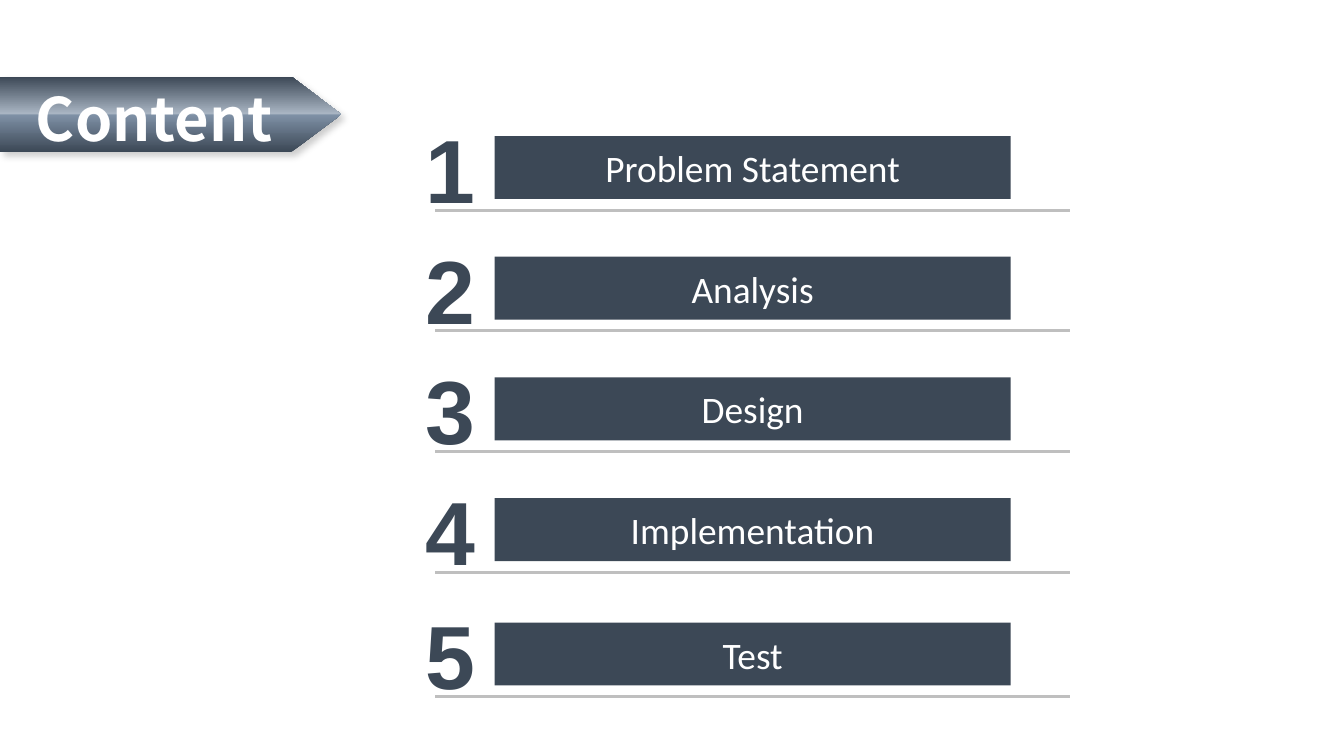
import dataclasses

import lxml.etree
import pptx
import pptx.dml.color
import pptx.enum.shapes
import pptx.enum.text
import pptx.oxml
import pptx.oxml.ns
import pptx.util

Cm = pptx.util.Cm
Pt = pptx.util.Pt
qn = pptx.oxml.ns.qn


@dataclasses.dataclass(frozen=True)
class Theme:
    """Colours, fonts and type sizes of the deck."""
    slate: str = "3C4856"
    steel: str = "7E90A5"
    mist: str = "A9B5C3"
    rule: str = "BFBFBF"
    white: str = "FFFFFF"
    shadow: str = "000000"
    title_font: str = "Noto Sans CJK SC"
    number_font: str = "Arial"
    topic_font: str = "Calibri"
    title_size: int = 32
    number_size: int = 48
    topic_size: int = 20


def rgb(colour):
    """Turn a hex string into a colour."""
    return pptx.dml.color.RGBColor.from_string(colour)


class AgendaSlide:
    """Draws the elements of an agenda on one slide."""

    def __init__(self, slide, theme):
        """Keep the slide and its theme."""
        self.slide = slide
        self.shapes = slide.shapes
        self.theme = theme

    def add_label(self, frame, text, font, size, colour, bold=False,
                  align=pptx.enum.text.PP_ALIGN.LEFT):
        """Put one formatted run in a vertically centred frame."""
        frame.vertical_anchor = pptx.enum.text.MSO_ANCHOR.MIDDLE
        paragraph = frame.paragraphs[0]
        paragraph.alignment = align
        run = paragraph.add_run()
        run.text = text
        run.font.name = font
        run.font.size = Pt(size)
        run.font.bold = bold
        run.font.color.rgb = rgb(colour)

    def banner(self, points):
        """Draw the shaded arrow that carries the title."""
        theme = self.theme
        corners = [(Cm(x), Cm(y)) for x, y in points]
        builder = self.shapes.build_freeform(*corners[0])
        builder.add_line_segments(corners[1:], close=True)
        arrow = builder.convert_to_shape()
        arrow.line.fill.background()
        arrow.fill.gradient()
        arrow.fill.gradient_angle = 90
        stops = arrow._element.spPr.find(".//" + qn("a:gsLst"))
        for stop in list(stops):
            stops.remove(stop)
        for place, colour in ((0, theme.slate), (49, theme.steel),
                              (51, theme.mist), (100, theme.slate)):
            stop = lxml.etree.SubElement(stops, qn("a:gs"), pos=str(place * 1000))
            lxml.etree.SubElement(stop, qn("a:srgbClr"), val=colour)
        arrow.shadow.inherit = False
        effects = arrow._element.spPr.find(qn("a:effectLst"))
        shade = lxml.etree.SubElement(
            effects, qn("a:outerShdw"), blurRad=str(Pt(4)), dist=str(Pt(3)),
            dir="2700000", algn="tl", rotWithShape="0")
        tint = lxml.etree.SubElement(shade, qn("a:srgbClr"), val=theme.shadow)
        lxml.etree.SubElement(tint, qn("a:alpha"), val="20000")

    def title(self, text, left, top, width, height):
        """Place the title placeholder over the banner."""
        heading = self.shapes.title
        heading.left, heading.top = Cm(left), Cm(top)
        heading.width, heading.height = Cm(width), Cm(height)
        frame = heading.text_frame
        frame.auto_size = pptx.enum.text.MSO_AUTO_SIZE.NONE
        frame.word_wrap = True
        frame.margin_left = frame.margin_bottom = 0
        frame.margin_top, frame.margin_right = Cm(0.13), Cm(0.61)
        self.add_label(frame, text, self.theme.title_font, self.theme.title_size,
                       self.theme.white, bold=True,
                       align=pptx.enum.text.PP_ALIGN.CENTER)
        self.shapes._spTree.append(heading._element)

    def number(self, text, left, top, width, height):
        """Add a large item number."""
        box = self.shapes.add_textbox(Cm(left), Cm(top), Cm(width), Cm(height))
        frame = box.text_frame
        frame.word_wrap = False
        frame.auto_size = pptx.enum.text.MSO_AUTO_SIZE.SHAPE_TO_FIT_TEXT
        self.add_label(frame, text, self.theme.number_font,
                       self.theme.number_size, self.theme.slate, bold=True)

    def topic(self, text, left, top, width, height):
        """Draw a dark bar with a centred topic."""
        bar = self.shapes.add_shape(
            pptx.enum.shapes.MSO_SHAPE.RECTANGLE,
            Cm(left), Cm(top), Cm(width), Cm(height))
        bar.shadow.inherit = False
        bar.fill.solid()
        bar.fill.fore_color.rgb = rgb(self.theme.slate)
        bar.line.fill.background()
        self.add_label(bar.text_frame, text, self.theme.topic_font,
                       self.theme.topic_size, self.theme.white,
                       align=pptx.enum.text.PP_ALIGN.CENTER)

    def rule(self, left, right, y):
        """Draw a thin horizontal line under an item."""
        line = self.shapes.add_connector(
            pptx.enum.shapes.MSO_CONNECTOR.STRAIGHT,
            Cm(left), Cm(y), Cm(right), Cm(y))
        line.line.color.rgb = rgb(self.theme.rule)
        line.line.width = Pt(1.5)
        lxml.etree.SubElement(line._element.spPr, qn("a:effectLst"))

    def item(self, number, topic, top):
        """Draw one agenda row whose bar starts at top."""
        self.number(str(number), 7.8, top - 0.56, 1.47, 2.31)
        self.topic(topic, 9.35, top, 9.75, 1.19)
        self.rule(8.23, 20.22, top + 1.4)


def main():
    """Build the agenda slide and save it."""
    deck = pptx.Presentation()
    deck.slide_width, deck.slide_height = Cm(25.4), Cm(14.28)
    agenda = AgendaSlide(deck.slides.add_slide(deck.slide_layouts[5]), Theme())

    first_top, pitch, last_top = 2.57, 2.28, 11.76
    topics = ["Problem Statement", "Analysis", "Design", "Implementation", "Test"]
    tops = [first_top + pitch * row for row in range(len(topics) - 1)] + [last_top]
    for number, (topic, top) in enumerate(zip(topics, tops), start=1):
        agenda.item(number, topic, top)

    left, top, width, height, shoulder = 0, 1.45, 6.45, 1.42, 5.51
    agenda.banner([(left, top), (shoulder, top), (width, top + height / 2),
                   (shoulder, top + height), (left, top + height)])
    agenda.title("Content", left, top, width, height)
    deck.save("out.pptx")


main()
